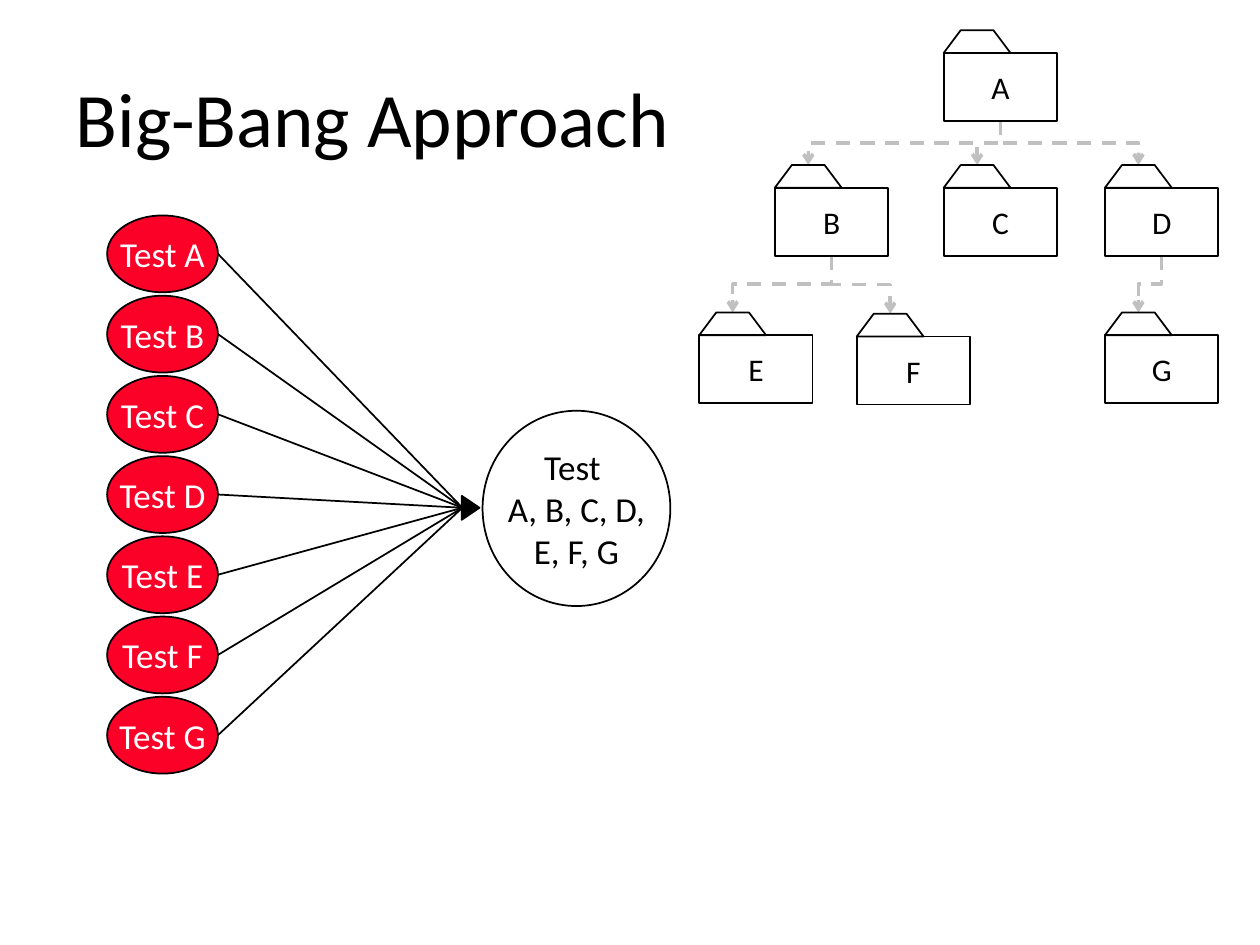
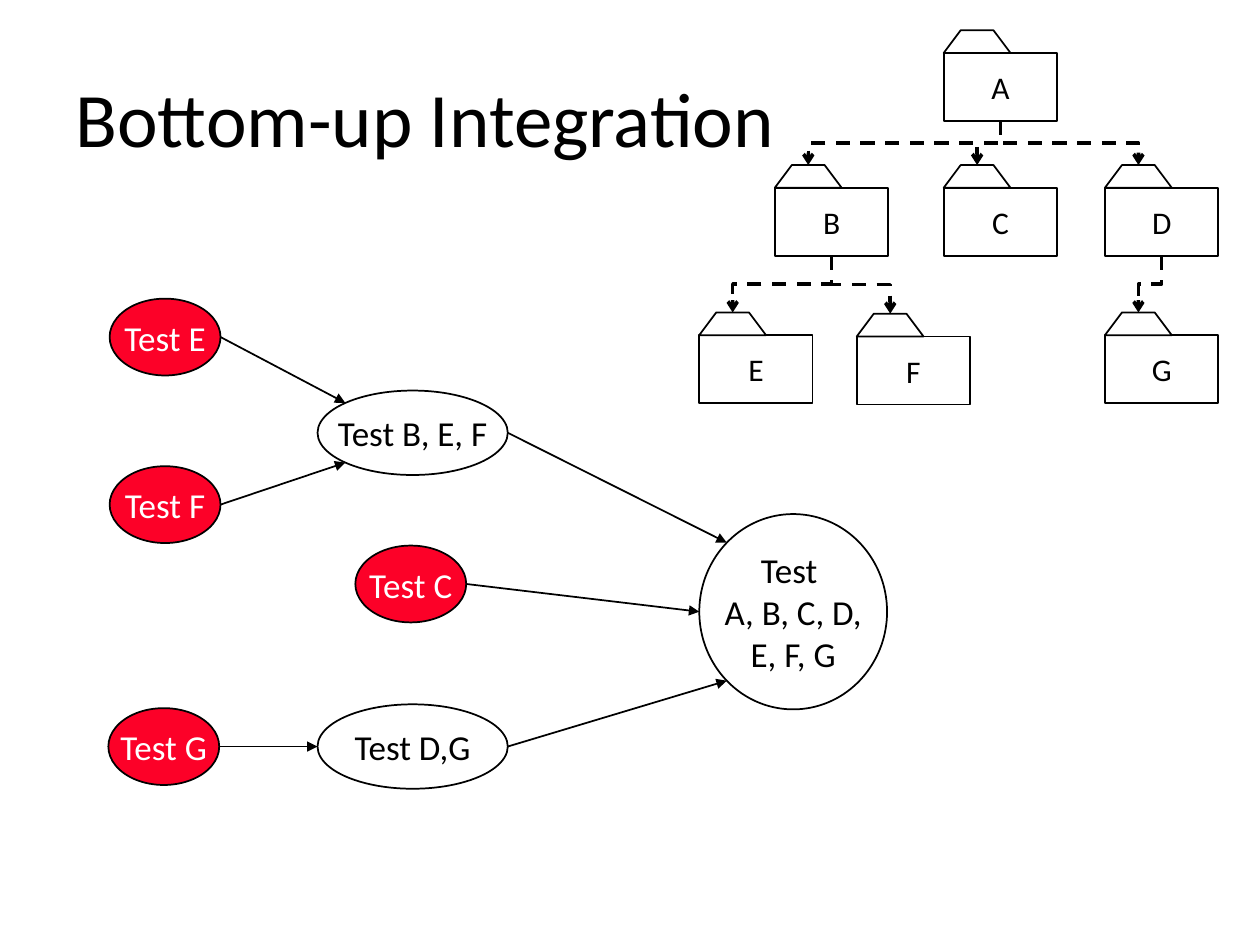
"""Build two slides on integration testing: big-bang and bottom-up."""
from dataclasses import dataclass
from math import cos, pi, sin

from lxml import etree
from pptx import Presentation
from pptx.dml.color import RGBColor
from pptx.enum.dml import MSO_LINE
from pptx.enum.shapes import MSO_CONNECTOR, MSO_SHAPE
from pptx.enum.text import MSO_ANCHOR, PP_ALIGN
from pptx.oxml.ns import qn
from pptx.util import Inches, Pt

OVAL, RECTANGLE = MSO_SHAPE.OVAL, MSO_SHAPE.RECTANGLE
TRIANGLE = MSO_SHAPE.ISOSCELES_TRIANGLE
STRAIGHT, ELBOW = MSO_CONNECTOR.STRAIGHT, MSO_CONNECTOR.ELBOW
DASH, MIDDLE = MSO_LINE.DASH, MSO_ANCHOR.MIDDLE
LEFT, CENTER = PP_ALIGN.LEFT, PP_ALIGN.CENTER


@dataclass(frozen=True)
class Theme:
    """Colours, font, type sizes and line widths of the deck."""
    ink: str = "000000"
    paper: str = "FFFFFF"
    unit_red: str = "FC0128"
    muted: str = "C0C0C0"
    font: str = "Calibri"
    title_size: int = 44
    test_size: int = 20
    module_size: int = 18
    outline: int = 1
    dependency: int = 2


THEME = Theme()

MODULES = {
    "A": (7.49, 0.42),
    "B": (6.15, 1.49), "C": (7.49, 1.49), "D": (8.77, 1.49),
    "E": (5.55, 2.66), "F": (6.80, 2.67), "G": (8.77, 2.66),
}
DEPENDENCIES = ["AB", "BE", "BF", "DG", "AC", "AD"]
MODULE_SIZE = (0.9, 0.54)
TAB_SIZE = (0.53, 0.18)
TAB_SLOPE = 0.135

UNIT_SIZE, GROUP_SIZE, SYSTEM_SIZE = (0.88, 0.61), (1.51, 0.67), (1.49, 1.55)
SYSTEM_TEST = "Test \nA, B, C, D,\nE, F, G"

BIG_BANG = {
    "title": "Big-Bang Approach",
    "dependency_colour": THEME.muted,
    "module_fill": None,
    "units": "ABCDEFG",
    "unit_left": 0.85, "first_top": 1.71, "last_top": 5.53,
    "system": (3.83, 3.26),
    "meeting_point": (3.67, 4.03),
    "arrowhead": (3.64, 3.96, 0.19, 0.14),
}
BOTTOM_UP = {
    "title": "Bottom-up Integration",
    "dependency_colour": THEME.ink,
    "module_fill": THEME.paper,
    "tests": {
        "Test E": (0.87, 2.37, UNIT_SIZE),
        "Test F": (0.87, 3.70, UNIT_SIZE),
        "Test C": (2.82, 4.33, UNIT_SIZE),
        "Test G": (0.86, 5.62, UNIT_SIZE),
        "Test B, E, F": (2.52, 3.10, GROUP_SIZE),
        "Test D,G": (2.52, 5.59, GROUP_SIZE),
        SYSTEM_TEST: (5.55, 4.08, SYSTEM_SIZE),
    },
    "steps": [
        ("Test E", "Test B, E, F", "upper"),
        ("Test F", "Test B, E, F", "lower"),
        ("Test G", "Test D,G", "middle"),
        ("Test B, E, F", SYSTEM_TEST, "upper"),
        ("Test C", SYSTEM_TEST, "middle"),
        ("Test D,G", SYSTEM_TEST, "lower"),
    ],
}
ENTRY_ANGLES = {"upper": -pi / 4, "middle": 0, "lower": pi / 4}


def set_values(target, values):
    """Set each named attribute on the target."""
    for name, value in values.items():
        setattr(target, name, value)


def write(shape, text, size, colour, align, wrap):
    """Write one paragraph per line of text in the deck's font."""
    frame = shape.text_frame
    frame.text = text
    set_values(frame, {"word_wrap": wrap, "vertical_anchor": MIDDLE})
    for paragraph in frame.paragraphs:
        paragraph.alignment = align
        set_values(paragraph.runs[0].font, {"name": THEME.font, "size": Pt(size)})
        paragraph.runs[0].font.color.rgb = RGBColor.from_string(colour)


def paint(shape, fill):
    """Give a shape its fill and the thin black outline."""
    shape.shadow.inherit = False
    if fill:
        shape.fill.solid()
        shape.fill.fore_color.rgb = RGBColor.from_string(fill)
    else:
        shape.fill.background()
    shape.line.color.rgb = RGBColor.from_string(THEME.ink)
    shape.line.width = Pt(THEME.outline)


def add_box(slide, kind, box, fill):
    """Add a painted preset shape at an inch box."""
    shape = slide.shapes.add_shape(kind, *map(Inches, box))
    paint(shape, fill)
    return shape


def add_line(slide, kind, start, end, colour, width, dash=None, head=None):
    """Add a connector with optional dashes and end arrowhead."""
    line = slide.shapes.add_connector(kind, *map(Inches, (*start, *end)))
    line.line.color.rgb = RGBColor.from_string(colour)
    set_values(line.line, {"width": Pt(width), "dash_style": dash})
    properties = line._element.spPr
    if head:
        etree.SubElement(properties.find(qn("a:ln")), qn("a:tailEnd"), type=head)
    etree.SubElement(properties, qn("a:effectLst"))
    return line


def add_dependency(slide, parent, child, colour):
    """Join a module's base to a lower module's tab, leaving downwards."""
    x1, y1 = MODULES[parent][0] + MODULE_SIZE[0] / 2, MODULES[parent][1] + MODULE_SIZE[1]
    x2, y2 = MODULES[child][0] + TAB_SIZE[0] / 2, MODULES[child][1] - TAB_SIZE[1]
    middle_x, middle_y = (x1 + x2) / 2, (y1 + y2) / 2
    goes_left = x2 < x1
    reach = (y2 - y1) / 2 * (1 if goes_left else -1)
    rise = abs(x2 - x1) / 2
    line = add_line(slide, ELBOW, (middle_x - reach, middle_y - rise),
                    (middle_x + reach, middle_y + rise),
                    colour, THEME.dependency, DASH, "arrow")
    degrees = 90 if goes_left else 270
    line._element.spPr.find(qn("a:xfrm")).set("rot", str(degrees * 60000))


def add_module(slide, name, fill):
    """Draw a module as a labelled box with a folder tab."""
    left, top = MODULES[name]
    body = add_box(slide, RECTANGLE, (left, top, *MODULE_SIZE), fill)
    write(body, name, THEME.module_size, THEME.ink, CENTER, False)
    width, height = TAB_SIZE
    outline = [(left + TAB_SLOPE, top - height),
               (left + width - TAB_SLOPE, top - height), (left + width, top)]
    tab = slide.shapes.build_freeform(Inches(left), Inches(top))
    tab.add_line_segments([(Inches(x), Inches(y)) for x, y in outline], close=True)
    paint(tab.convert_to_shape(), fill)


def add_test(slide, text, left, top, size):
    """Draw a test as an ellipse, red when it covers a single unit."""
    is_unit = size == UNIT_SIZE
    test = add_box(slide, OVAL, (left, top, *size), THEME.unit_red if is_unit else None)
    write(test, text, THEME.test_size, THEME.paper if is_unit else THEME.ink, CENTER, False)


def exit_point(left, top, size):
    """Return the middle of an ellipse's right side."""
    return left + size[0], top + size[1] / 2


def entry_point(left, top, size, side):
    """Return the point where an arrow meets an ellipse's left half."""
    angle = ENTRY_ANGLES[side]
    return (left + size[0] / 2 * (1 - cos(angle)),
            top + size[1] / 2 * (1 + sin(angle)))


def add_base_slide(deck, content):
    """Add a slide with its title and the module tree."""
    slide = deck.slides.add_slide(deck.slide_layouts[5])
    title = slide.shapes.title
    set_values(title, {"left": Inches(0.5), "top": Inches(0.3),
                       "width": Inches(9), "height": Inches(1.25)})
    write(title, content["title"], THEME.title_size, THEME.ink, LEFT, True)
    for parent, child in DEPENDENCIES:
        add_dependency(slide, parent, child, content["dependency_colour"])
    for name in MODULES:
        add_module(slide, name, content["module_fill"])
    return slide


def add_big_bang(deck, content):
    """Show every unit test leading straight to the system test."""
    slide = add_base_slide(deck, content)
    units = content["units"]
    pitch = (content["last_top"] - content["first_top"]) / (len(units) - 1)
    for row, unit in enumerate(units):
        place = (content["unit_left"], content["first_top"] + row * pitch, UNIT_SIZE)
        add_test(slide, f"Test {unit}", *place)
        add_line(slide, STRAIGHT, exit_point(*place), content["meeting_point"],
                 THEME.ink, THEME.outline)
    add_test(slide, SYSTEM_TEST, *content["system"], SYSTEM_SIZE)
    add_box(slide, TRIANGLE, content["arrowhead"], THEME.ink).rotation = 90


def add_bottom_up(deck, content):
    """Show unit tests merging step by step into the system test."""
    slide = add_base_slide(deck, content)
    tests = content["tests"]
    for text, place in tests.items():
        add_test(slide, text, *place)
    for source, target, side in content["steps"]:
        add_line(slide, STRAIGHT, exit_point(*tests[source]),
                 entry_point(*tests[target], side),
                 THEME.ink, THEME.outline, head="triangle")


def main():
    """Build and save the deck."""
    deck = Presentation()
    set_values(deck, {"slide_width": Inches(10), "slide_height": Inches(7.5)})
    add_big_bang(deck, BIG_BANG)
    add_bottom_up(deck, BOTTOM_UP)
    deck.save("out.pptx")


if __name__ == "__main__":
    main()
